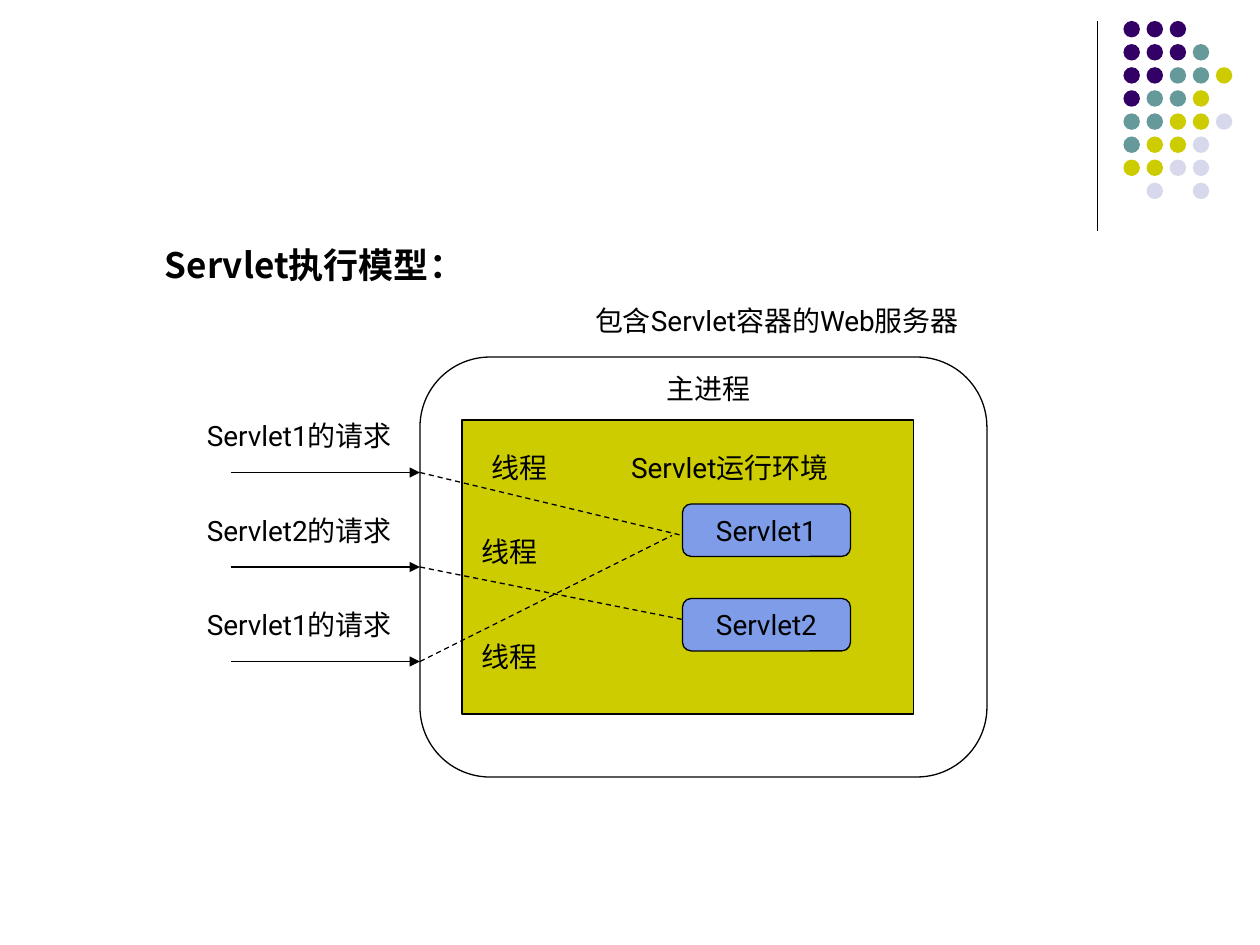
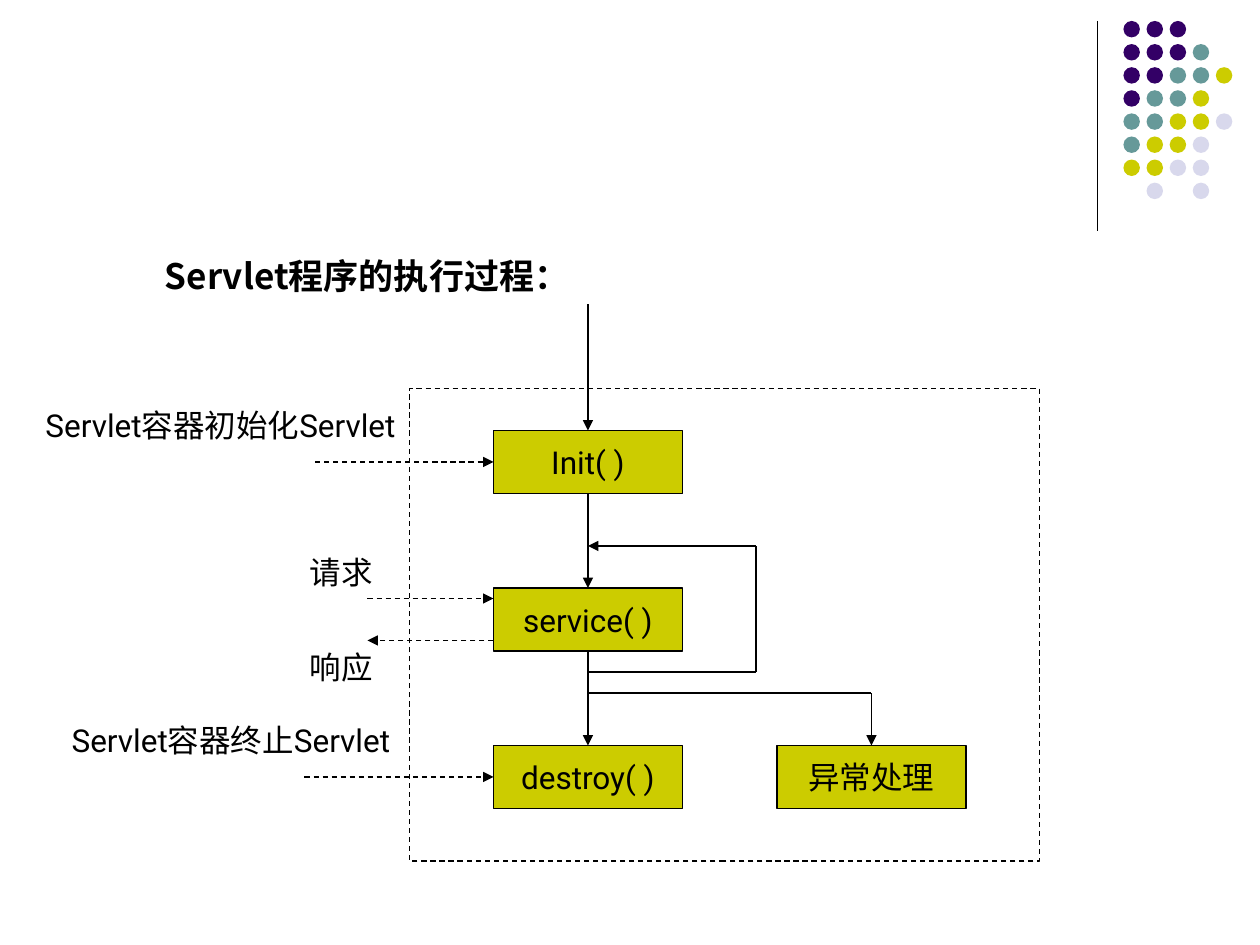
from pptx import Presentation
from pptx.dml.color import RGBColor
from pptx.enum.dml import MSO_LINE
from pptx.enum.shapes import MSO_CONNECTOR, MSO_SHAPE
from pptx.enum.text import MSO_ANCHOR, PP_ALIGN
from pptx.oxml.ns import qn
from pptx.util import Pt
from lxml import etree

RECTANGLE = MSO_SHAPE.RECTANGLE
ROUNDED = MSO_SHAPE.ROUNDED_RECTANGLE
OVAL = MSO_SHAPE.OVAL
STRAIGHT = MSO_CONNECTOR.STRAIGHT
DASH = MSO_LINE.DASH
MIDDLE, TOP_ANCHOR = MSO_ANCHOR.MIDDLE, MSO_ANCHOR.TOP
CENTER, JUSTIFY = PP_ALIGN.CENTER, PP_ALIGN.JUSTIFY
TOP, LEFT, BOTTOM = 0, 1, 2  # connection sites of a rectangle

BLACK = RGBColor(0x00, 0x00, 0x00)
WHITE = RGBColor(0xFF, 0xFF, 0xFF)
PURPLE = RGBColor(0x33, 0x00, 0x66)
TEAL = RGBColor(0x66, 0x99, 0x99)
OLIVE = RGBColor(0xCC, 0xCC, 0x00)
LILAC = RGBColor(0xD8, 0xD8, 0xEC)
BLUE = RGBColor(0x7E, 0x9C, 0xE8)

BODY_FONT = "Roboto"
CHINESE_FONT = "Noto Sans CJK SC"
LINE_WIDTH = Pt(0.75)

DOT_COLORS = {"P": PURPLE, "T": TEAL, "O": OLIVE, "L": LILAC}
DOT_ROWS = ["PPP", "PPPT", "PPTTO", "PTTO", "TTOOL", "TOOL", "OOLL", " L L"]
DOT_SIZE, DOT_PITCH = 9.4, 13.2


def write(box, text, size=16, font=BODY_FONT, bold=False, align=CENTER,
          anchor=MIDDLE, wrap=False, spacing=None):
    frame = box.text_frame
    frame.word_wrap = wrap
    frame.vertical_anchor = anchor
    para = frame.paragraphs[0]
    para.alignment = align
    if spacing:
        para.line_spacing = spacing
    span = para.add_run()
    span.text = text
    span.font.name = font
    span.font.size = Pt(size)
    span.font.bold = bold
    span.font.color.rgb = BLACK
    east_asian = etree.SubElement(span.font._element, qn("a:ea"))
    east_asian.set("typeface", CHINESE_FONT)


def add_block(shapes, left, top, width, height, kind=RECTANGLE, fill=None,
              line=None, dash=None, text="", size=16):
    """Add a preset shape; fill and line are left out when None."""
    block = shapes.add_shape(kind, Pt(left), Pt(top), Pt(width), Pt(height))
    block.shadow.inherit = False
    if fill is None:
        block.fill.background()
    else:
        block.fill.solid()
        block.fill.fore_color.rgb = fill
    if line is None:
        block.line.fill.background()
    else:
        block.line.color.rgb = line
        block.line.width = LINE_WIDTH
        block.line.dash_style = dash
    if text:
        write(block, text, size)
    return block


def add_label(page, text, left, top, width, height, size):
    box = page.shapes.add_textbox(Pt(left), Pt(top), Pt(width), Pt(height))
    box.text_frame.margin_left = box.text_frame.margin_right = 0
    write(box, text, size)


def add_line(page, start, end, arrow=False, dash=None, begin=None, finish=None):
    """Draw a line; begin and finish are (shape, site) pairs to join."""
    points = [Pt(value) for value in (*start, *end)]
    connector = page.shapes.add_connector(STRAIGHT, *points)
    if begin:
        connector.begin_connect(*begin)
    if finish:
        connector.end_connect(*finish)
    connector.line.color.rgb = BLACK
    connector.line.width = LINE_WIDTH
    connector.line.dash_style = dash
    if arrow:
        outline = connector.line._get_or_add_ln()
        etree.SubElement(outline, qn("a:tailEnd")).set("type", "triangle")
    etree.SubElement(connector._element.spPr, qn("a:effectLst"))


def add_page(deck, title, top, width, height):
    """Add a page with the corner dots, the rule beside them and a title."""
    page = deck.slides.add_slide(deck.slide_layouts[6])
    add_line(page, (627, 12), (627, 132))
    dots = page.shapes.add_group_shape().shapes
    for row, letters in enumerate(DOT_ROWS):
        for column, letter in enumerate(letters):
            if letter in DOT_COLORS:
                add_block(dots, 642 + column * DOT_PITCH, 12 + row * DOT_PITCH,
                          DOT_SIZE, DOT_SIZE, OVAL, DOT_COLORS[letter])
    box = page.shapes.add_textbox(Pt(60), Pt(top), Pt(width), Pt(height))
    box.text_frame.margin_left = Pt(34.2)
    write(box, title, 20, CHINESE_FONT, bold=True, align=JUSTIFY,
          anchor=TOP_ANCHOR, wrap=True, spacing=1.4)
    return page


def build_model_page(deck):
    page = add_page(deck, "Servlet执行模型：", 126, 612, 366)
    shapes = page.shapes
    server = add_block(shapes, 240, 204, 324, 240, ROUNDED, line=BLACK)
    add_block(shapes, 264, 240, 258, 168, fill=OLIVE, line=BLACK)
    add_block(shapes, 360, 252, 114, 30, fill=OLIVE, line=OLIVE,
              text="Servlet运行环境")
    for index, name in enumerate(["Servlet1", "Servlet2"]):
        add_block(shapes, 390, 288 + index * 54, 96, 30, ROUNDED, BLUE, BLACK,
                  text=name)

    requests = [("Servlet1", (390, 306)), ("Servlet2", (390, 354)),
                ("Servlet1", (384, 306))]
    for index, (name, thread_end) in enumerate(requests):
        y = 270 + index * 54
        entry = (server, LEFT) if y == 324 else None
        add_block(shapes, 114, y - 36, 114, 30, fill=WHITE, text=name + "的请求")
        add_line(page, (132, y), (240, y), arrow=True, finish=entry)
        add_line(page, (240, y), thread_end, dash=DASH, begin=entry)

    for left, top in [(276, 258), (270, 306), (270, 366)]:
        add_label(page, "线程", left, top, 42, 18, 16)
    add_block(shapes, 336, 168, 216, 30, fill=WHITE,
              text="包含Servlet容器的Web服务器")
    add_block(shapes, 348, 210, 114, 24, fill=WHITE, text="主进程")


def build_process_page(deck):
    page = add_page(deck, "Servlet程序的执行过程：", 132, 618, 342)
    add_block(page.shapes, 234, 222, 360, 270, line=BLACK, dash=DASH)

    def add_step(text, left, top):
        return add_block(page.shapes, left, top, 108, 36, fill=OLIVE,
                         line=BLACK, text=text, size=18)

    init = add_step("Init( )", 282, 246)
    service = add_step("service( )", 282, 336)
    destroy = add_step("destroy( )", 282, 426)
    failure = add_step("异常处理", 444, 426)

    # Main flow
    add_line(page, (336, 174), (336, 246), arrow=True, finish=(init, TOP))
    add_line(page, (336, 282), (336, 336), arrow=True,
             begin=(init, BOTTOM), finish=(service, TOP))
    add_line(page, (336, 372), (336, 426), arrow=True,
             begin=(service, BOTTOM), finish=(destroy, TOP))

    # Branch to error handling, then the loop back to service
    add_line(page, (336, 396), (498, 396))
    add_line(page, (498, 396), (498, 426), arrow=True, finish=(failure, TOP))
    add_line(page, (336, 384), (432, 384))
    add_line(page, (432, 384), (432, 312))
    add_line(page, (432, 312), (336, 312), arrow=True)

    # Messages from and to the container
    add_line(page, (180, 264), (282, 264), True, DASH, finish=(init, LEFT))
    add_line(page, (174, 444), (282, 444), True, DASH, finish=(destroy, LEFT))
    add_line(page, (210, 342), (282, 342), True, DASH)
    add_line(page, (282, 366), (210, 366), True, DASH)
    for text, left, top, width, height in [
        ("Servlet容器初始化Servlet", 20, 228, 212, 30),
        ("Servlet容器终止Servlet", 34, 408, 196, 30),
        ("请求", 162, 318, 66, 18),
        ("响应", 162, 372, 66, 18),
    ]:
        add_label(page, text, left, top, width, height, 18)


def main():
    deck = Presentation()
    deck.slide_width, deck.slide_height = Pt(720), Pt(540)
    build_model_page(deck)
    build_process_page(deck)
    deck.save("out.pptx")


if __name__ == "__main__":
    main()
